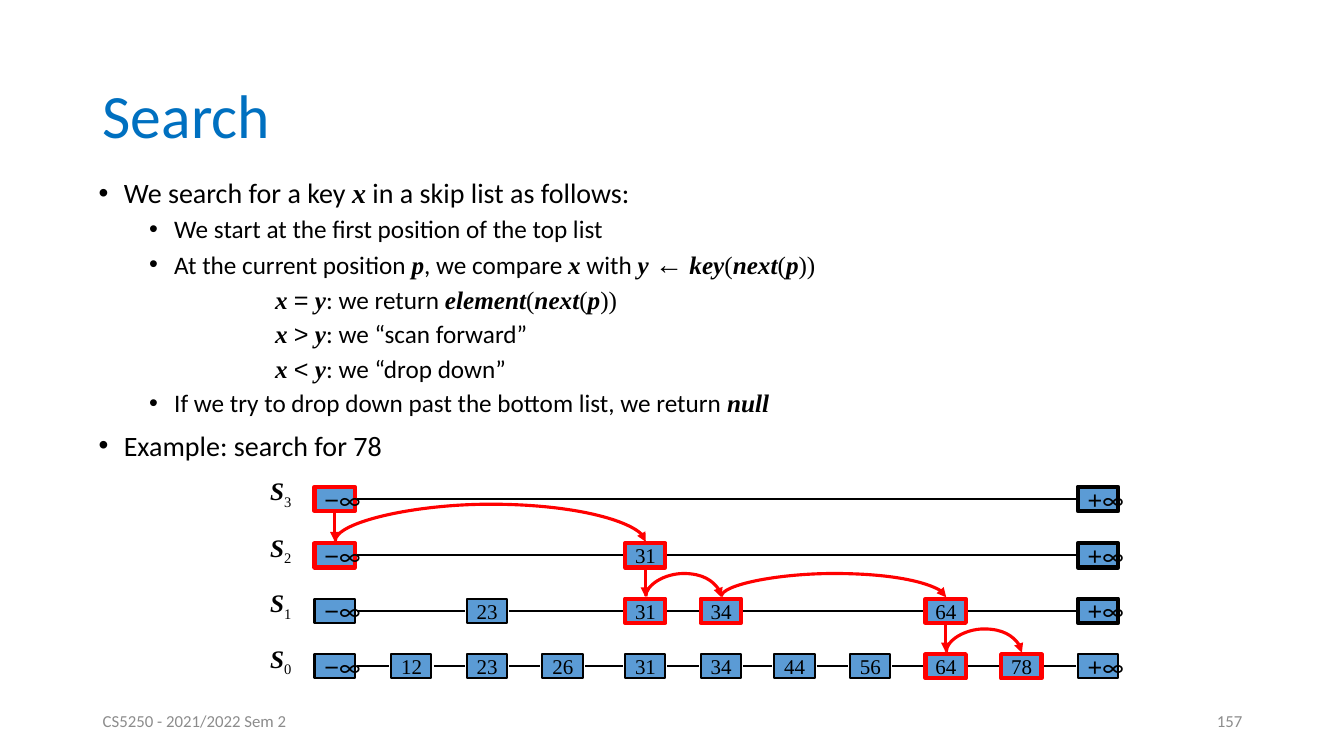
"""Build the slide that explains searching in a skip list."""
import itertools

import lxml.etree
import pptx
import pptx.dml.color
import pptx.enum.shapes
import pptx.enum.text
import pptx.oxml
import pptx.oxml.ns
import pptx.util

PX = 9144
BLACK = pptx.dml.color.RGBColor(0x00, 0x00, 0x00)
RED = pptx.dml.color.RGBColor(0xFF, 0x00, 0x00)
NODE_BLUE = pptx.dml.color.RGBColor(0x5B, 0x9B, 0xD5)
TITLE_BLUE = pptx.dml.color.RGBColor(0x00, 0x70, 0xC0)
FOOTER_GREY = pptx.dml.color.RGBColor(0x8C, 0x8C, 0x8C)

FORMATS = {
    "title": {"name": "Calibri", "size": pptx.util.Pt(44)},
    "lead": {"name": "Calibri", "size": pptx.util.Pt(20)},
    "lead variable": {"name": "Times New Roman", "size": pptx.util.Pt(20), "bold": True, "italic": True},
    "plain": {"name": "Calibri", "size": pptx.util.Pt(18)},
    "variable": {"name": "Times New Roman", "size": pptx.util.Pt(18), "bold": True, "italic": True},
    "bracket": {"name": "Times New Roman", "size": pptx.util.Pt(18)},
    "sign": {"name": "Arial", "size": pptx.util.Pt(18)},
    "arrow": {"name": "Arial", "size": pptx.util.Pt(20)},
    "key": {"name": "Times New Roman", "size": pptx.util.Pt(15)},
    "footer": {"name": "Calibri", "size": pptx.util.Pt(12)},
}
LEVELS = {
    "lead": {"left": 25, "indent": -25, "before": 10},
    "point": {"left": 75, "indent": -25, "before": 5},
    "case": {"left": 175, "indent": 0, "before": 5},
}


def call(name):
    """Return the spans for name(next(p))."""
    return [(name, "variable"), ("(", "bracket"), ("next", "variable"), ("(", "bracket"),
            ("p", "variable"), ("))", "bracket")]


def case(sign, *result):
    """Return the spans for one comparison of x with y."""
    return "case", [("x ", "variable"), (sign, "sign"), (" y", "variable"), *result]


BODY = [
    ("lead", [("We search for a key ", "lead"), ("x", "lead variable"),
              (" in a skip list as follows:", "lead")]),
    ("point", [("We start at the first position of the top list", "plain")]),
    ("point", [("At the current position ", "plain"), ("p", "variable"), (", we compare ", "plain"),
               ("x", "variable"), (" with ", "plain"), ("y ", "variable"), ("←", "arrow"),
               *call(" key")]),
    case("=", (": we return ", "plain"), *call("element")),
    case(">", (": we “scan forward”", "plain")),
    case("<", (": we “drop down”", "plain")),
    ("point", [("If we try to drop down past the bottom list, we return ", "plain"),
               ("null", "variable")]),
    ("lead", [("Example: search for 78", "lead")]),
]

NODE_WIDTH, NODE_HEIGHT, GAP = 40, 24, 2
COLUMNS = {"−∞": 312, "12": 388, "23": 463, "26": 538, "31": 620, "34": 695, "44": 768,
           "56": 843, "64": 918, "78": 993, "+∞": 1069}
ROW_TOPS = {3: 483, 2: 539, 1: 594, 0: 649}
ROW_KEYS = {3: ["−∞", "+∞"], 2: ["−∞", "31", "+∞"],
            1: ["−∞", "23", "31", "34", "64", "+∞"], 0: list(COLUMNS)}
VISITED = {3: ["−∞"], 2: ["−∞", "31"], 1: ["31", "34", "64"], 0: ["64", "78"]}
ARC_RISES = {2: 37, 1: 23, 0: 23}


def px(*lengths):
    """Turn px lengths into EMU."""
    return [pptx.util.Emu(int(length * PX)) for length in lengths]


def add_span(para, text, style, colour=BLACK):
    """Add one formatted run and return it."""
    span = para.add_run()
    span.text = text
    for attribute, value in FORMATS[style].items():
        setattr(span.font, attribute, value)
    span.font.color.rgb = colour
    return span


def add_box(page, place, anchor=pptx.enum.text.MSO_ANCHOR.MIDDLE, wrap=True):
    """Add an empty text box and return its text frame."""
    frame = page.shapes.add_textbox(*px(*place)).text_frame
    frame.word_wrap = wrap
    frame.vertical_anchor = anchor
    return frame


def add_line_of_text(page, place, text, style, colour, align=pptx.enum.text.PP_ALIGN.LEFT):
    """Add a text box with a single styled line."""
    para = add_box(page, place).paragraphs[0]
    para.alignment = align
    add_span(para, text, style, colour)


def add_body(page):
    """Add the explanation of the search."""
    frame = add_box(page, (88, 173, 1150, 476), pptx.enum.text.MSO_ANCHOR.TOP)
    for index, (level, spans) in enumerate(BODY):
        para = frame.add_paragraph() if index else frame.paragraphs[0]
        layout = LEVELS[level]
        properties = para._p.get_or_add_pPr()
        for attribute, length in (("marL", layout["left"]), ("indent", layout["indent"])):
            properties.set(attribute, str(length * PX))
        if level != "case":
            for tag, attribute, value in (("a:buFont", "typeface", "Arial"), ("a:buChar", "char", "•")):
                lxml.etree.SubElement(properties, pptx.oxml.ns.qn(tag)).set(attribute, value)
        para.line_spacing = 0.9
        if index:
            para.space_before = pptx.util.Pt(layout["before"])
        for text, style in spans:
            add_span(para, text, style)


def add_line(page, ends, colour=BLACK, width=1.5, arrow=False, kind="STRAIGHT"):
    """Add a connector between two points, with an optional arrowhead."""
    line = page.shapes.add_connector(pptx.enum.shapes.MSO_CONNECTOR[kind], *px(*ends))
    line.line.color.rgb = colour
    line.line.width = pptx.util.Pt(width)
    if arrow:
        head = lxml.etree.SubElement(line.line._get_or_add_ln(), pptx.oxml.ns.qn("a:tailEnd"))
        head.set("type", "triangle")
    lxml.etree.SubElement(line._element.spPr, pptx.oxml.ns.qn("a:effectLst"))
    return line


def add_arc(page, start, end, base, rise):
    """Add a curved arrow that rises over the base line."""
    middle, half = (start + end) / 2, (end - start) / 2
    ends = (middle, base + half, middle + 1, base - half)
    properties = add_line(page, ends, RED, 2.25, True, "CURVE")._element.spPr
    properties.find(pptx.oxml.ns.qn("a:xfrm")).set("rot", "5400000")
    geometry = properties.find(pptx.oxml.ns.qn("a:prstGeom"))
    guide = lxml.etree.SubElement(geometry.get_or_add_avLst(), pptx.oxml.ns.qn("a:gd"))
    guide.set("name", "adj1")
    guide.set("fmla", f"val {-rise * 100000}")


def add_node(page, key, level):
    """Add one node of the skip list."""
    visited = key in VISITED[level]
    place = px(COLUMNS[key], ROW_TOPS[level], NODE_WIDTH, NODE_HEIGHT)
    node = page.shapes.add_shape(pptx.enum.shapes.MSO_SHAPE.RECTANGLE, *place)
    node.shadow.inherit = False
    node.fill.solid()
    node.fill.fore_color.rgb = NODE_BLUE
    node.line.color.rgb = RED if visited else BLACK
    node.line.width = pptx.util.Pt(3 if visited or (key == "+∞" and level) else 1.5)
    frame = node.text_frame
    frame.word_wrap = False
    frame.vertical_anchor = pptx.enum.text.MSO_ANCHOR.MIDDLE
    para = frame.paragraphs[0]
    para.alignment = pptx.enum.text.PP_ALIGN.LEFT
    spans = [(key[0], "sign"), (key[1], "plain")] if "∞" in key else [(key, "key")]
    for text, style in spans:
        add_span(para, text, style)


def add_row(page, level):
    """Add the label, links and nodes of one list."""
    top = ROW_TOPS[level]
    frame = add_box(page, (258, top - 16, 43, 40), pptx.enum.text.MSO_ANCHOR.TOP, False)
    add_span(frame.paragraphs[0], "S", "variable")
    subscript = add_span(frame.paragraphs[0], str(level), "bracket")
    subscript.font._element.set("baseline", "-25000")
    middle = top + NODE_HEIGHT / 2
    for left, right in itertools.pairwise(ROW_KEYS[level]):
        add_line(page, (COLUMNS[left] + NODE_WIDTH + GAP, middle, COLUMNS[right] - GAP, middle))
    for key in ROW_KEYS[level]:
        add_node(page, key, level)


def add_search_route(page, level):
    """Add the forward arcs and the drop of one list."""
    centres = [COLUMNS[key] + NODE_WIDTH // 2 for key in VISITED[level]]
    for start, end in itertools.pairwise(centres):
        add_arc(page, start, end, ROW_TOPS[level] - GAP, ARC_RISES[level])
    if level:
        bottom = ROW_TOPS[level] + NODE_HEIGHT + GAP
        add_line(page, (centres[-1], bottom, centres[-1], ROW_TOPS[level - 1] - GAP), RED, 2.25, True)


def main():
    """Build and save the slide."""
    deck = pptx.Presentation()
    deck.slide_width, deck.slide_height = px(1333, 750)
    page = deck.slides.add_slide(deck.slide_layouts[6])
    add_line_of_text(page, (92, 40, 1150, 145), "Search", "title", TITLE_BLUE)
    add_body(page)
    for level in ROW_TOPS:
        add_row(page, level)
    for level in ROW_TOPS:
        add_search_route(page, level)
    add_line_of_text(page, (92, 695, 300, 40), "CS5250 - 2021/2022 Sem 2", "footer", FOOTER_GREY)
    add_line_of_text(page, (942, 695, 300, 40), "157", "footer", FOOTER_GREY,
                     pptx.enum.text.PP_ALIGN.RIGHT)
    deck.save("out.pptx")


if __name__ == "__main__":
    main()
